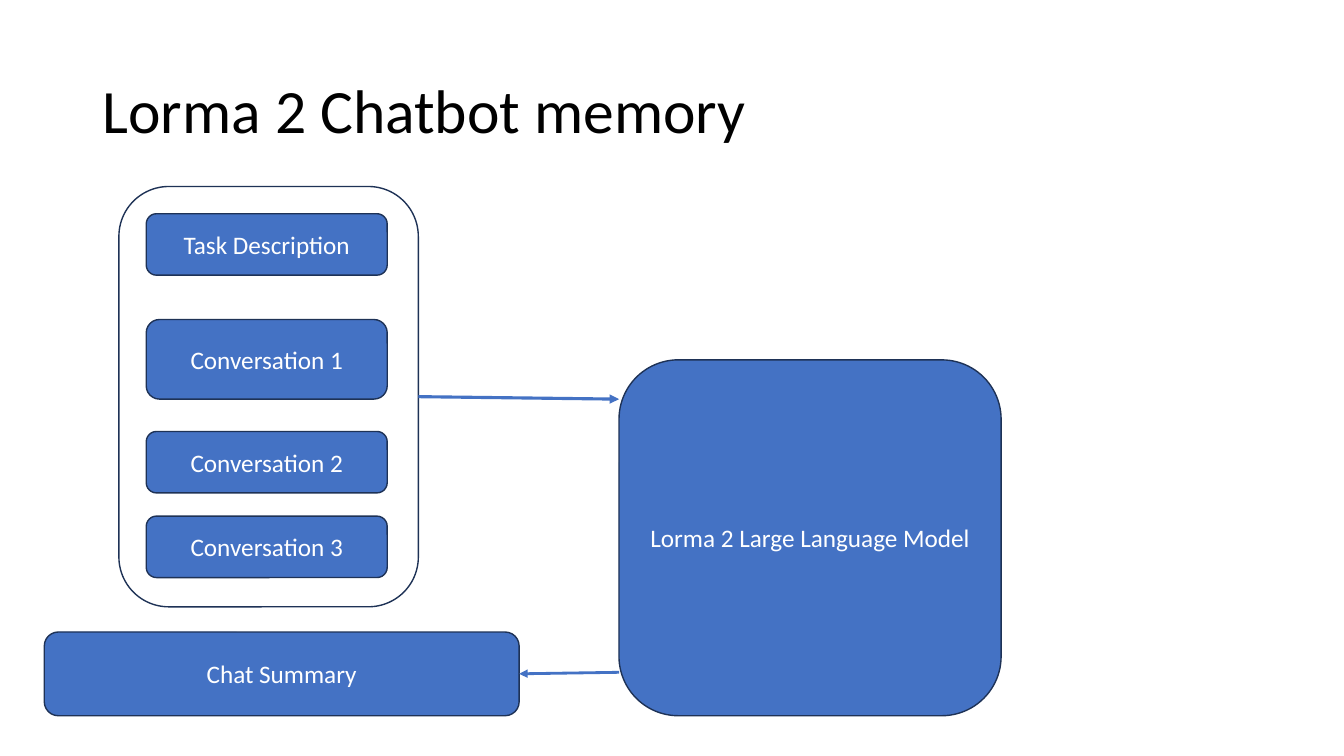
from lxml.etree import SubElement
from pptx import Presentation
from pptx.dml.color import RGBColor
from pptx.enum.shapes import MSO_CONNECTOR, MSO_SHAPE
from pptx.enum.text import MSO_ANCHOR, PP_ALIGN
from pptx.oxml.ns import qn
from pptx.util import Inches, Pt

COLORS = {"blue": "4472C4", "outline": "1E3256", "white": "FFFFFF", "black": "000000"}
FONT = "Calibri"

presentation = Presentation()
presentation.slide_width = Inches(13.33)
presentation.slide_height = Inches(7.5)
slide = presentation.slides.add_slide(presentation.slide_layouts[6])

# All lengths are percentages of the slide's width and height
column = presentation.slide_width / 100
row = presentation.slide_height / 100


def grid(left, top, width, height):
    return round(left * column), round(top * row), round(width * column), round(height * row)


def write(shape, text, size, color, alignment):
    frame = shape.text_frame
    frame.word_wrap = True
    frame.vertical_anchor = MSO_ANCHOR.MIDDLE
    paragraph = frame.paragraphs[0]
    paragraph.alignment = alignment
    run = paragraph.add_run()
    run.text = text
    run.font.name = FONT
    run.font.size = Pt(size)
    run.font.color.rgb = RGBColor.from_string(COLORS[color])
    return paragraph


# Title
title = slide.shapes.add_textbox(*grid(6.9, 5.33, 86.27, 19.33))
write(title, "Lorma 2 Chatbot memory", 44, "black", PP_ALIGN.LEFT).line_spacing = 0.9

# Prompt boxes, their unfilled frame, the summary and the model
prompt_left, prompt_width, prompt_height = 10.88, 17.93, 8.13
frame_left, frame_top, frame_width, frame_height = 8.85, 24.67, 22.28, 55.6
summary_left, summary_width = 3.3, 35.33
model_left = 46.06
boxes = [
    ("Task Description", prompt_left, 28.27, prompt_width, prompt_height),
    ("Conversation 1", prompt_left, 42.27, prompt_width, 10.53),
    ("Conversation 2", prompt_left, 57.07, prompt_width, prompt_height),
    ("Conversation 3", prompt_left, 68.27, prompt_width, prompt_height),
    (None, frame_left, frame_top, frame_width, frame_height),
    ("Chat Summary", summary_left, 83.6, summary_width, 11.07),
    ("Lorma 2 Large Language Model", model_left, 47.6, 28.43, 47.07),
]
for text, *place in boxes:
    box = slide.shapes.add_shape(MSO_SHAPE.ROUNDED_RECTANGLE, *grid(*place))
    box.shadow.inherit = False
    box.line.color.rgb = RGBColor.from_string(COLORS["outline"])
    box.line.width = Pt(1)
    if text:
        box.fill.solid()
        box.fill.fore_color.rgb = RGBColor.from_string(COLORS["blue"])
        write(box, text, 18, "white", PP_ALIGN.CENTER)
    else:
        box.fill.background()

# Arrows: prompt to model, model to summary
arrows = [
    (frame_left + frame_width, frame_top + frame_height / 2, model_left, 52.8, 2.25),
    (model_left, 88.93, summary_left + summary_width, 89.13, 2),
]
for *ends, weight in arrows:
    arrow = slide.shapes.add_connector(MSO_CONNECTOR.STRAIGHT, *grid(*ends))
    arrow.line.color.rgb = RGBColor.from_string(COLORS["blue"])
    arrow.line.width = Pt(weight)
    SubElement(arrow.line._get_or_add_ln(), qn("a:tailEnd"), type="triangle")
    SubElement(arrow._element.spPr, qn("a:effectLst"))

presentation.save("out.pptx")
